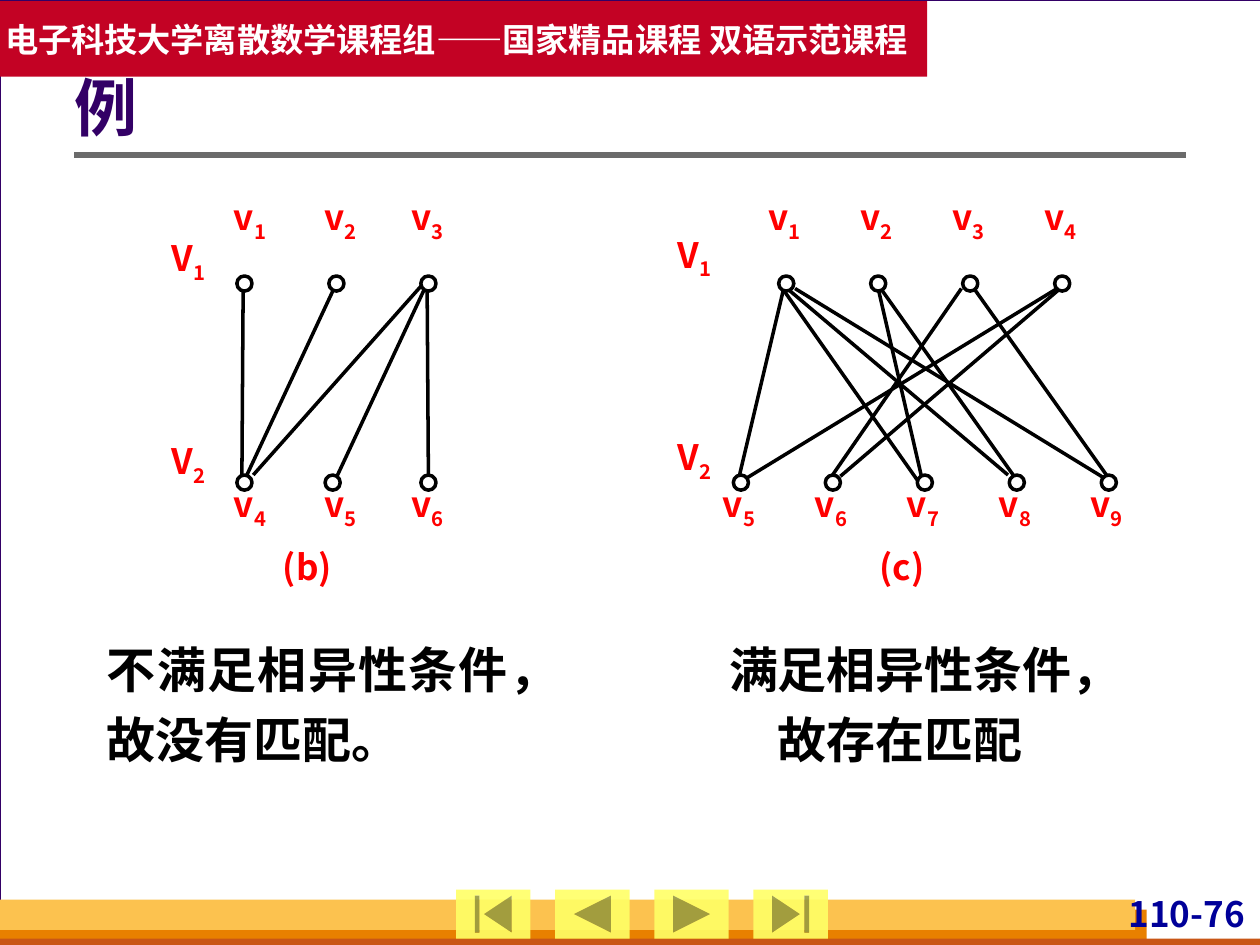
import pptx
import pptx.util
import pptx.dml.color
import pptx.enum.shapes
import pptx.enum.text
import pptx.oxml.ns
from lxml import etree
from pptx.util import Inches

FONT = "Noto Sans CJK SC"
SHAPE = pptx.enum.shapes.MSO_SHAPE
ALIGN = pptx.enum.text.PP_ALIGN
ANCHOR = pptx.enum.text.MSO_ANCHOR
qn = pptx.oxml.ns.qn

LABEL_W, LABEL_H = 0.47, 0.38
DOT = 0.12
EDGE_DROP = 1.52


def rgb(color):
    return pptx.dml.color.RGBColor.from_string(color)


def add_shape(s, kind, box, fill, line=None, width=0.75):
    sp = s.shapes.add_shape(kind, *map(Inches, box))
    sp.shadow.inherit = False
    sp.fill.solid()
    sp.fill.fore_color.rgb = rgb(fill)
    if line:
        sp.line.color.rgb = rgb(line)
        sp.line.width = pptx.util.Pt(width)
    else:
        sp.line.fill.background()
    return sp


def add_line(s, start, end, color, width):
    c = s.shapes.add_connector(pptx.enum.shapes.MSO_CONNECTOR.STRAIGHT,
                               *map(Inches, start + end))
    c.line.color.rgb = rgb(color)
    c.line.width = pptx.util.Pt(width)
    etree.SubElement(c._element.spPr, qn("a:effectLst"))


def write(sp, text, size, color, align, margins=(0, 0, 0, 0), anchor=ANCHOR.TOP,
          wrap=True, spacing=None, subscript=None):
    tf = sp.text_frame
    tf.word_wrap = wrap
    tf.vertical_anchor = anchor
    (tf.margin_left, tf.margin_top,
     tf.margin_right, tf.margin_bottom) = map(Inches, margins)
    p = tf.paragraphs[0]
    p.alignment = align
    if spacing:
        p.line_spacing = spacing
    p.space_before = pptx.util.Pt(0)
    p.font.size = pptx.util.Pt(size)
    p.font.bold = True
    p.font.color.rgb = rgb(color)
    p.font.name = FONT
    east_asian = etree.SubElement(p._p.pPr.find(qn("a:defRPr")), qn("a:ea"))
    east_asian.set("typeface", FONT)
    p.add_run().text = text
    if subscript:
        r = p.add_run()
        r.text = subscript
        r._r.get_or_add_rPr().set("baseline", "-25000")


def add_text(s, box, *args, **kwargs):
    write(s.shapes.add_textbox(*map(Inches, box)), *args, **kwargs)


def frame(s, box):
    """Page, footer bands, page number and title rule."""
    x, y, w, h = box
    add_shape(s, SHAPE.RECTANGLE, box, "FFFFFF", "330066")
    add_shape(s, SHAPE.RECTANGLE, (x, y + 7.22, 9.1, 0.28), "E88000")
    add_shape(s, SHAPE.RECTANGLE, (x, y + 7.45, w, 0.08), "C95616")
    add_shape(s, SHAPE.RECTANGLE, (x, y + 7.14, 9.01, 0.24), "FCC24F")
    add_text(s, (x + 8.7, y + 7.08, 1.22, 0.38), "110-76", 20, "000099",
             ALIGN.RIGHT, (0.04, 0, 0.04, 0))
    add_line(s, (x + 0.59, y + 1.23), (x + 9.41, y + 1.23), "6B6B6B", 3)


def navigation(s, box):
    """Evenly spaced navigation buttons."""
    x, y, w, h = box
    kinds = (SHAPE.ACTION_BUTTON_BEGINNING, SHAPE.ACTION_BUTTON_BACK_OR_PREVIOUS,
             SHAPE.ACTION_BUTTON_FORWARD_OR_NEXT, SHAPE.ACTION_BUTTON_END)
    button_w = 0.59
    step = (w - button_w) / (len(kinds) - 1)
    for i, kind in enumerate(kinds):
        sp = add_shape(s, kind, (x + i * step, y, button_w, h), "FFFF66")
        color = sp._element.spPr.find(qn("a:solidFill"))[0]
        etree.SubElement(color, qn("a:alpha")).set("val", "90000")


def banner(s, box):
    sp = add_shape(s, SHAPE.RECTANGLE, box, "C30224")
    write(sp, "电子科技大学离散数学课程组——国家精品课程 双语示范课程", 19, "FFFFFF",
          ALIGN.LEFT, (0.04, 0.05, 0.04, 0.05), ANCHOR.MIDDLE, wrap=False)


def title(s, box):
    sp = s.shapes.title
    sp.left, sp.top, sp.width, sp.height = map(Inches, box)
    write(sp, "例", 36, "330066", ALIGN.LEFT, (0, 0.05, 0.1, 0.05),
          ANCHOR.MIDDLE, spacing=0.9)
    s.shapes._spTree.append(sp._element)  # bring in front of the page


def bipartite_graph(s, box, caption, caption_x, set_y, edges, rows):
    """Edges are (top x, top y, bottom x); rows hold label and vertex lefts."""
    x, y, w, h = box

    def red_label(left, top, text, subscript=None, size=(LABEL_W, LABEL_H)):
        add_text(s, (x + left, y + top) + size, text, 20, "FF0000",
                 ALIGN.CENTER, subscript=subscript)

    # Edges lie behind the vertices
    for top_x, top_y, bottom_x in edges:
        add_line(s, (x + top_x, y + top_y),
                 (x + bottom_x, y + top_y + EDGE_DROP), "000000", 2)

    # Vertices and their numbered labels
    number = 0
    for (labels, dots), label_y, dot_y in zip(rows, (0, 2.28), (0.64, 2.22)):
        for label_x, dot_x in zip(labels, dots):
            number += 1
            red_label(label_x, label_y, "v", str(number))
            add_shape(s, SHAPE.OVAL, (x + dot_x, y + dot_y, DOT, DOT),
                      "FFFFFF", "000000", 2)

    # Names of the two vertex sets, and the caption
    for i in range(2):
        red_label(0, set_y + i * 1.61, "V", str(i + 1))
    red_label(caption_x, 2.78, caption, size=(0.7, 0.33))


def conclusion(s, box, text, align):
    add_text(s, box, text, 28, "000000", align, (0.1, 0.05, 0.1, 0.05),
             spacing=1.2)


def steps(start, gap, count):
    return [start + i * gap for i in range(count)]


def main():
    prs = pptx.Presentation()
    prs.slide_width, prs.slide_height = Inches(10), Inches(7.5)
    s = prs.slides.add_slide(prs.slide_layouts[5])
    s.background.fill.solid()
    s.background.fill.fore_color.rgb = rgb("D8DADA")

    frame(s, (0, 0, 10.01, 7.5))
    navigation(s, (3.62, 7.06, 2.95, 0.39))
    banner(s, (0, 0.01, 7.36, 0.6))
    title(s, (0.59, 0.38, 8.82, 1.01))

    labels_b = (0.49, 1.21, 1.9)
    bipartite_graph(
        s, (1.26, 1.55, 2.37, 3.11), "(b)", 0.83, 0.33,
        edges=[(2.13, 0.72, 2.14), (0.67, 0.72, 0.66), (1.4, 0.72, 0.69),
               (2.1, 0.7, 0.75), (2.12, 0.72, 1.41)],
        rows=[(labels_b, (0.62, 1.35, 2.08)), (labels_b, (0.62, 1.32, 2.08))])
    bipartite_graph(
        s, (5.28, 1.55, 3.74, 3.11), "(c)", 1.53, 0.3,
        edges=[(1.69, 0.74, 2.04), (2.45, 0.74, 3.53), (0.93, 0.74, 2),
               (0.94, 0.74, 0.58), (1.03, 0.74, 3.51), (0.92, 0.7, 2.72),
               (2.35, 0.74, 1.3), (1.71, 0.74, 2.79), (3.17, 0.71, 1.39),
               (3.11, 0.74, 0.62)],
        rows=[(steps(0.71, 0.73, 4), steps(0.9, 0.73, 4)),
              (steps(0.35, 0.73, 5), steps(0.54, 0.73, 5))])

    conclusion(s, (0.75, 4.93, 3.39, 1.22), "不满足相异性条件，故没有匹配。",
               ALIGN.JUSTIFY)
    conclusion(s, (5.65, 4.93, 2.99, 1.22), "满足相异性条件，故存在匹配",
               ALIGN.CENTER)
    prs.save("out.pptx")


if __name__ == "__main__":
    main()
